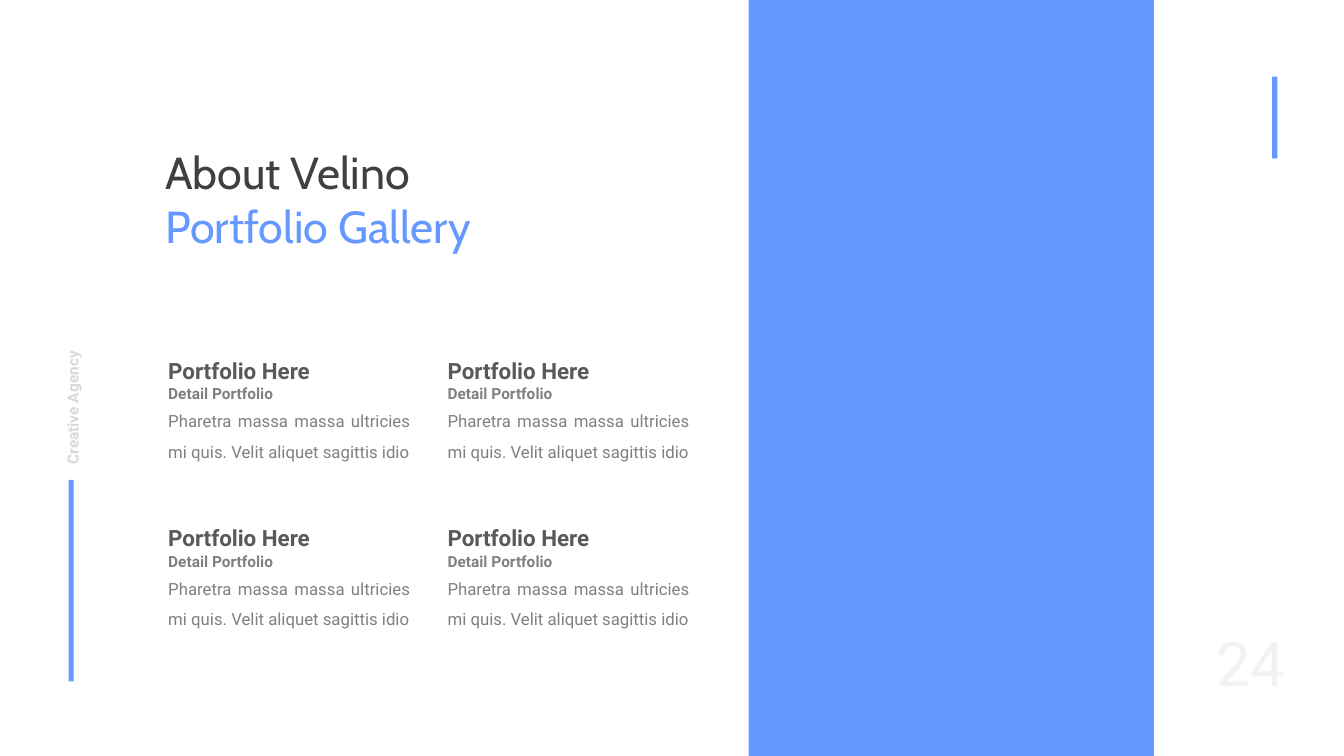
"""Builds a portfolio gallery slide with four entries beside a colour panel."""
from pptx import Presentation, util as u
from pptx.dml.color import RGBColor
from pptx.enum import shapes, text

BLUE = "6699FF"
GREY = "808080"


def colour(value):
    """Turn a hex string into a colour."""
    return RGBColor.from_string(value)


def add_run(paragraph, words, font, size, hex_colour, bold=False):
    """Append one formatted run to a paragraph."""
    run = paragraph.add_run()
    run.text = words
    run.font.name = font
    run.font.size = u.Pt(size)
    run.font.bold = bold
    run.font.color.rgb = colour(hex_colour)


def add_block(slide, left, top, width, height):
    """Draw a plain blue rectangle."""
    shape = slide.shapes.add_shape(
        shapes.MSO_SHAPE.RECTANGLE, u.Cm(left), u.Cm(top), u.Cm(width), u.Cm(height))
    shape.shadow.inherit = False
    shape.fill.solid()
    shape.fill.fore_color.rgb = colour(BLUE)
    shape.line.fill.background()


def add_label(slide, box, words, size, hex_colour, bold=False, spacing=1.5,
              gap=0, align=text.PP_ALIGN.JUSTIFY):
    """Place one paragraph of text in a box and return its shape."""
    shape = slide.shapes.add_textbox(*map(u.Cm, box))
    frame = shape.text_frame
    frame.word_wrap = True
    frame.auto_size = text.MSO_AUTO_SIZE.SHAPE_TO_FIT_TEXT
    paragraph = frame.paragraphs[0]
    paragraph.alignment = align
    paragraph.line_spacing = spacing
    paragraph.space_before = paragraph.space_after = u.Pt(gap)
    add_run(paragraph, words, "Roboto", size, hex_colour, bold)
    return shape


def add_title(slide, left, top, width, height):
    """Move and format the title, which wraps onto two lines."""
    title = slide.shapes.title
    title.left, title.top = u.Cm(left), u.Cm(top)
    title.width, title.height = u.Cm(width), u.Cm(height)
    frame = title.text_frame
    frame.word_wrap = True
    frame.auto_size = text.MSO_AUTO_SIZE.SHAPE_TO_FIT_TEXT
    frame.vertical_anchor = text.MSO_ANCHOR.TOP
    paragraph = frame.paragraphs[0]
    paragraph.alignment = text.PP_ALIGN.LEFT
    paragraph.space_before, paragraph.space_after = u.Pt(0), u.Pt(8)
    add_run(paragraph, "About Velino ", "Cabin", 32, "404040")
    add_run(paragraph, "Portfolio Gallery", "Cabin", 32, BLUE)


def add_entry(slide, left, top, width):
    """Stack the heading, detail line and description of one entry."""
    add_label(slide, (left, top + 1.45, width, 1.7),
              "Pharetra massa massa ultricies mi quis. Velit aliquet sagittis idio", 12, GREY)
    add_label(slide, (left, top, width, 1.17), "Portfolio Here", 16, "595959", bold=True)
    add_label(slide, (left, top + 0.8, 4.06, 0.89), "Detail Portfolio", 11, GREY,
              bold=True, gap=18)


def add_gallery(slide, left, top, width, height):
    """Lay out four entries in two columns and two rows."""
    column_gap, row_gap = 0.44, 1.07
    column_width = (width - column_gap) / 2
    row_height = (height - row_gap) / 2
    for row in range(2):
        for column in range(2):
            add_entry(slide, left + column * (column_width + column_gap),
                      top + row * (row_height + row_gap), column_width)


def add_margins(slide, width, height):
    """Add the accent bars, sideways tagline and page number."""
    add_block(slide, 1.73, height - 6.96, 0.13, 5.08)
    add_block(slide, width - 1.81, 1.93, 0.13, 2.06)
    tagline = add_label(slide, (-0.25, 9.58, 3.86, 0.89), "Creative Agency", 11,
                        "D9D9D9", bold=True, gap=18)
    tagline.rotation = 270
    add_label(slide, (width - 3.62, height - 3.43, 2.54, 2.08), "24", 44, "F2F2F2",
              spacing=1, align=text.PP_ALIGN.CENTER)


def main():
    """Build and save the slide."""
    width, height = 33.87, 19.05
    presentation = Presentation()
    presentation.slide_width, presentation.slide_height = u.Cm(width), u.Cm(height)
    slide = presentation.slides.add_slide(presentation.slide_layouts[5])
    add_block(slide, 18.87, 0, 10.21, height)
    add_margins(slide, width, height)
    add_gallery(slide, 3.99, 8.53, 13.64, 7.37)
    add_title(slide, 3.91, 3.53, 9.68, 3)
    presentation.save("out.pptx")


if __name__ == "__main__":
    main()
